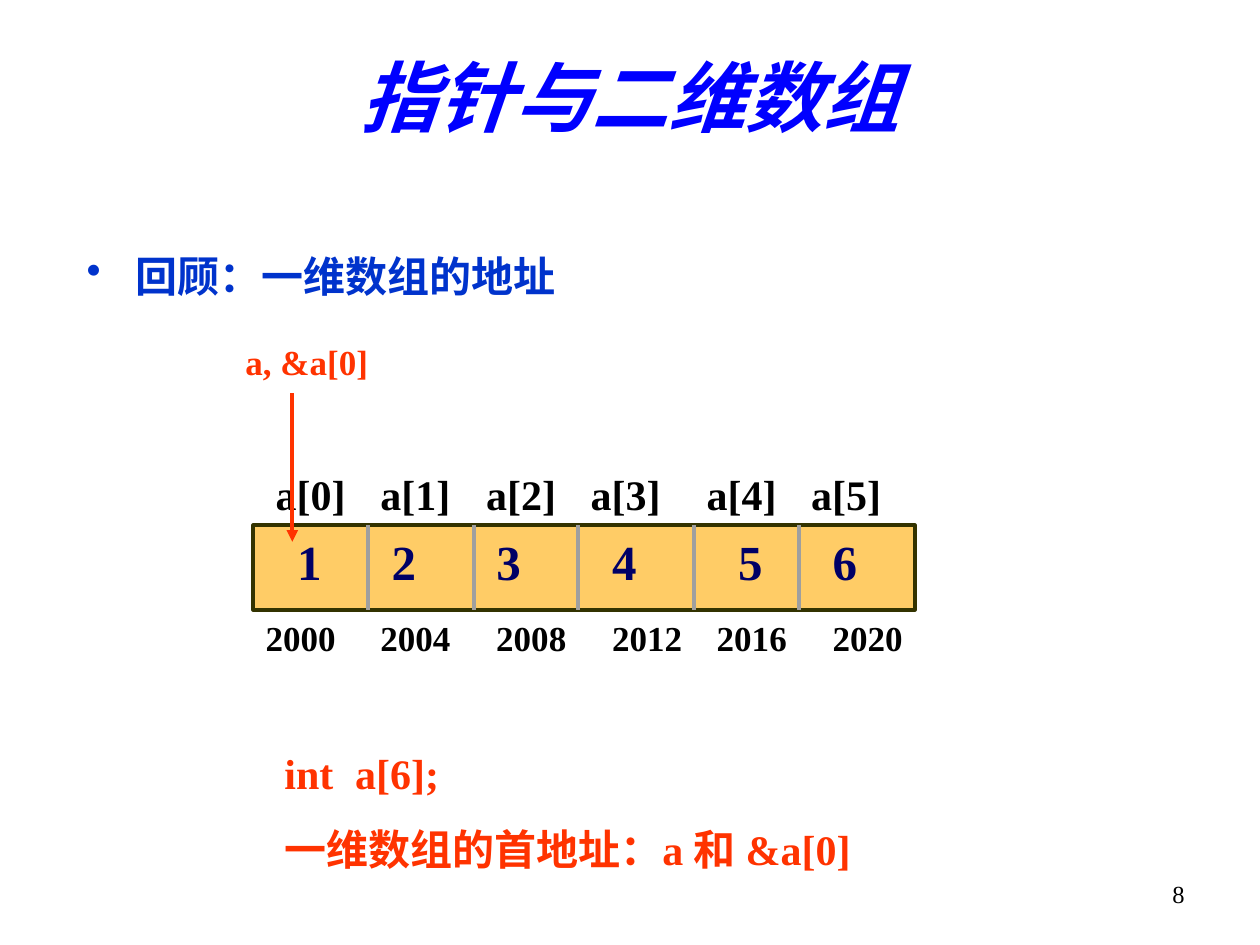
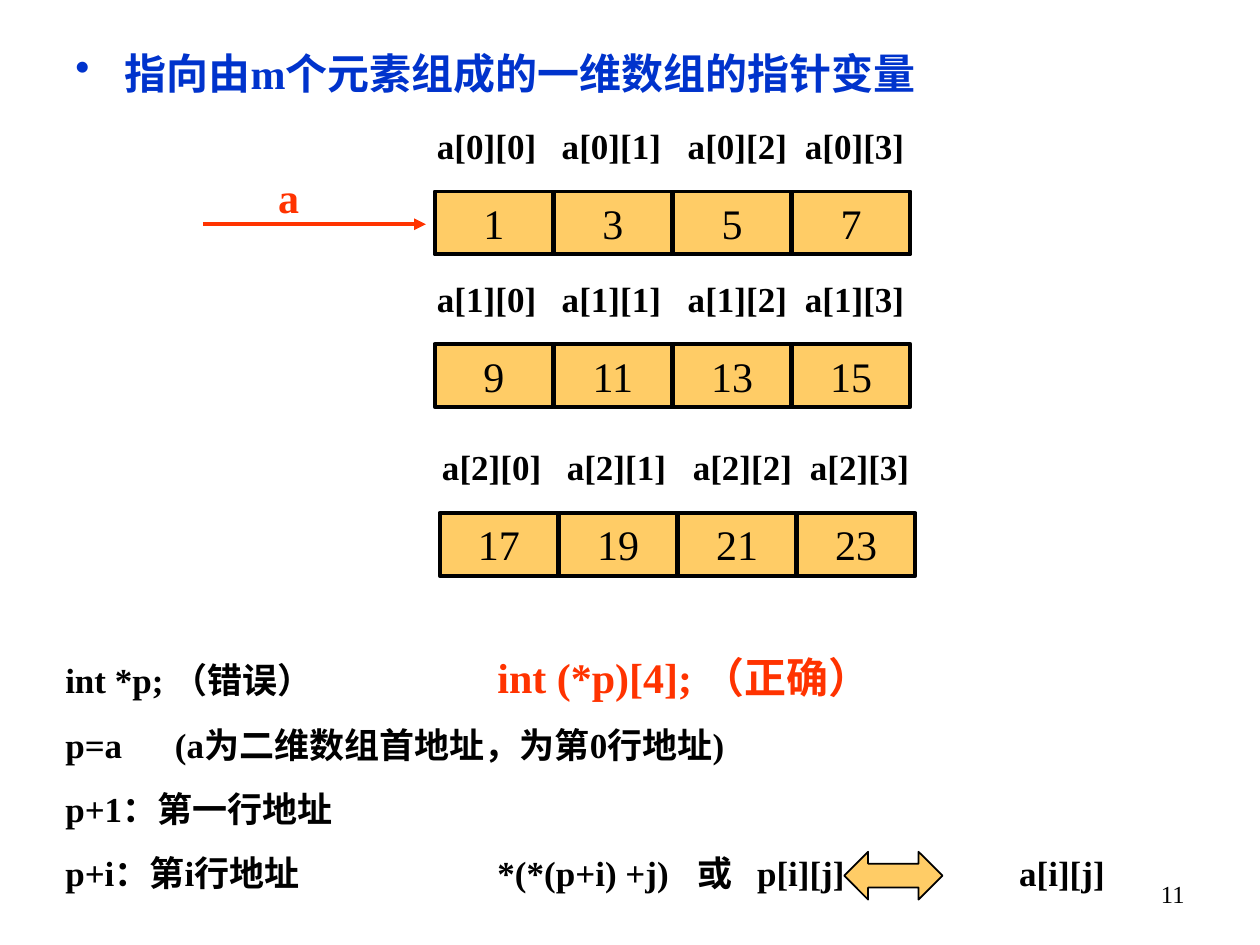
from lxml import etree
from pptx import Presentation
from pptx.dml.color import RGBColor
from pptx.enum.shapes import MSO_CONNECTOR, MSO_SHAPE
from pptx.enum.text import MSO_ANCHOR, PP_ALIGN
from pptx.oxml.ns import qn
from pptx.util import Inches, Pt

COLORS = {
    "black": "000000", "title": "0000FF", "heading": "0033CC",
    "accent": "FF3300", "value": "000066", "cell": "FFCC66",
    "frame": "333300", "divider": "9F9F9F",
}
FONT = "Times New Roman"
HEADING_INDENT = 0.39


def add_text(slide, at, paragraphs, size=20, color="black", bold=True,
             align=PP_ALIGN.LEFT, before=0, tabs=(), box=None):
    """Each paragraph is a list of (text, size, color) runs or a plain string."""
    place = [Inches(length) for length in at]
    if box is None:
        holder = slide.shapes.add_textbox(*place)
    else:
        holder = slide.shapes.add_shape(box, *place)
        holder.shadow.inherit = False
        holder.fill.solid()
        holder.fill.fore_color.rgb = RGBColor.from_string(COLORS["cell"])
        holder.line.color.rgb = RGBColor.from_string(COLORS["black"])
        holder.line.width = Pt(2.25)
    frame = holder.text_frame
    frame.word_wrap = True
    frame.vertical_anchor = MSO_ANCHOR.TOP
    for number, runs in enumerate(paragraphs):
        paragraph = frame.add_paragraph() if number else frame.paragraphs[0]
        paragraph.alignment = align
        if number:
            paragraph.space_before = Pt(before)
        if tabs:
            stops = etree.SubElement(paragraph._p.get_or_add_pPr(), qn("a:tabLst"))
            for stop in tabs:
                etree.SubElement(stops, qn("a:tab"), pos=str(Inches(stop)), algn="l")
        for text, run_size, run_color in [(runs, size, color)] if isinstance(runs, str) else runs:
            run = paragraph.add_run()
            run.text = text
            run.font.name = FONT
            run.font.size = Pt(run_size)
            run.font.bold = bold
            run.font.color.rgb = RGBColor.from_string(COLORS[run_color])
    return holder


def add_line(slide, start, end, color, arrow=False):
    ends = [Inches(length) for length in (*start, *end)]
    line = slide.shapes.add_connector(MSO_CONNECTOR.STRAIGHT, *ends)
    line.line.color.rgb = RGBColor.from_string(COLORS[color])
    line.line.width = Pt(2.25)
    if arrow:
        etree.SubElement(line.line._get_or_add_ln(), qn("a:tailEnd"), type="triangle")
    etree.SubElement(line._element.spPr, qn("a:effectLst"))


prs = Presentation()
prs.slide_width, prs.slide_height = Inches(10), Inches(7.5)

# Shared parts: page number and bulleted heading
pages = []
for page_number, heading_at, heading_text in (
    ("8", (0.59, 1.94, 8.66, 0.5), "回顾：一维数组的地址"),
    ("11", (0.5, 0.33, 9.17, 0.5), "指向由m个元素组成的一维数组的指针变量"),
):
    page = prs.slides.add_slide(prs.slide_layouts[6])
    pages.append(page)
    add_text(page, (7.17, 6.93, 2.33, 0.52), [page_number], size=14,
             bold=False, align=PP_ALIGN.RIGHT)
    heading = add_text(page, heading_at, [heading_text], size=24, color="heading")
    bullet = heading.text_frame.paragraphs[0]._p.get_or_add_pPr()
    bullet.set("marL", str(Inches(HEADING_INDENT)))
    bullet.set("indent", str(-Inches(HEADING_INDENT)))
    etree.SubElement(bullet, qn("a:buChar"), char="•")
one_dim, two_dim = pages

# Slide 1: title with a text shadow
title = add_text(one_dim, (0.74, 0.36, 8.53, 0.92), ["指针与二维数组"],
                 size=44, color="title", align=PP_ALIGN.CENTER)
title.text_frame.vertical_anchor = MSO_ANCHOR.MIDDLE
title_line = title.text_frame.paragraphs[0]
title_line.line_spacing = 0.85
title_font = title_line.runs[0].font
title_font.italic = True
effects = etree.Element(qn("a:effectLst"))
shadow = etree.SubElement(effects, qn("a:outerShdw"), dist="35921", dir="2700000")
etree.SubElement(shadow, qn("a:srgbClr"), val=COLORS["black"])
title_font._element.find(qn("a:solidFill")).addnext(effects)

# Slide 1: array strip with names, values and addresses
STRIP_TOP, STRIP_HEIGHT = 4.17, 0.67
strip = add_text(one_dim, (2.01, STRIP_TOP, 5.25, STRIP_HEIGHT), [],
                 box=MSO_SHAPE.RECTANGLE)
strip.line.color.rgb = RGBColor.from_string(COLORS["frame"])

dividers = (2.92, 3.76, 4.59, 5.51, 6.34)
for x in dividers:
    add_line(one_dim, (x, STRIP_TOP), (x, STRIP_TOP + STRIP_HEIGHT), "divider")

name_lefts = (2.09, *dividers)
value_lefts = (2.26, 3.01, 3.84, 4.76, 5.76, 6.51)
address_lefts = (2.01, 2.92, 3.84, 4.76, 5.59, 6.51)
for i, (name_x, value_x, address_x) in enumerate(zip(name_lefts, value_lefts, address_lefts)):
    add_text(one_dim, (value_x, STRIP_TOP, 0.58, 0.57), [str(i + 1)], size=28, color="value")
    add_text(one_dim, (name_x, STRIP_TOP - 0.5, 0.83, 0.5), [f"a[{i}]"], size=24)
    add_text(one_dim, (address_x, STRIP_TOP + STRIP_HEIGHT, 1, 0.44), [str(2000 + 4 * i)])

# Slide 1: declaration and first address
add_text(one_dim, (2.16, 5.88, 4.73, 1.51), ["int\ta[6];", "一维数组的首地址：a 和 &a[0]"],
         size=24, color="accent", before=15, tabs=(0.56,))
add_text(one_dim, (1.85, 2.65, 1.2, 0.44), ["a, &a[0]"], color="accent")
add_line(one_dim, (2.32, 3.12), (2.32, 4.3), "accent", arrow=True)

# Slide 2: pointer to the first row
add_line(two_dim, (1.61, 1.78), (3.38, 1.78), "accent", arrow=True)
add_text(two_dim, (2.11, 1.31, 0.5, 0.5), ["a"], size=24, color="accent")

# Slide 2: rows of the array, odd numbers from 1
CELL_PITCH = 0.945
for row, (left, top) in enumerate(((3.45, 1.52), (3.45, 2.73), (3.49, 4.07))):
    add_text(two_dim, (left - 0.08, top - 0.58, 4.1, 0.44),
             ["\t".join(f"a[{row}][{col}]" for col in range(4))], tabs=(0.99, 1.99, 2.92))
    for col in range(4):
        add_text(two_dim, (left + col * CELL_PITCH, top, 0.94, 0.5),
                 [str(8 * row + 2 * col + 1)], size=24, bold=False,
                 align=PP_ALIGN.CENTER, box=MSO_SHAPE.RECTANGLE)

# Slide 2: pointer declarations and row addresses
add_text(two_dim, (0.42, 5.12, 9.17, 2.02), [
    [("int *p; （错误）\t", 20, "black"), ("int (*p)[4]; （正确）", 24, "accent")],
    "p=a\t(a为二维数组首地址，为第0行地址)",
    "p+1：第一行地址",
    "p+i：第i行地址\t*(*(p+i) +j)\t或\tp[i][j]\ta[i][j]",
], before=12.5, tabs=(0.87, 3.43, 5.02, 5.49, 7.57))

# Slide 2: equivalence arrow
equivalence = add_text(two_dim, (6.7, 6.76, 0.78, 0.38), [], box=MSO_SHAPE.LEFT_RIGHT_ARROW)
equivalence.line.width = Pt(1)

prs.save("out.pptx")
